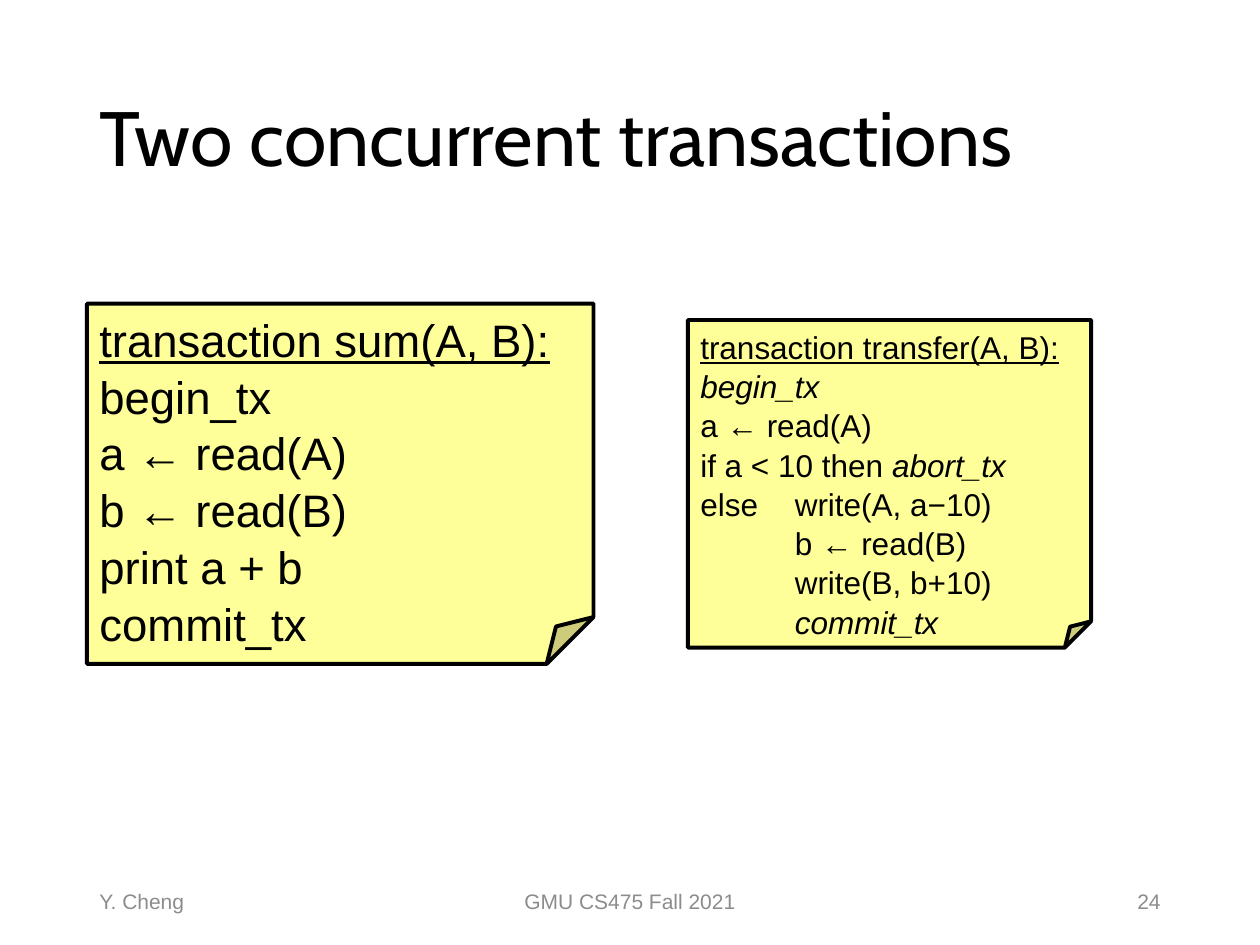
from lxml.etree import SubElement
from pptx import Presentation
from pptx.dml.color import RGBColor
from pptx.enum.shapes import MSO_SHAPE
from pptx.enum.text import MSO_ANCHOR, PP_ALIGN
from pptx.oxml.ns import qn
from pptx.util import Inches, Pt

COLORS = {"ink": "000000", "note": "FFFF99", "footer": "8C8C8C"}
SUM_LINES = [
    [("transaction sum(A, B):", "underline")],
    [("begin_tx", "")],
    [("a ← read(A)", "")],
    [("b ← read(B)", "")],
    [("print a + b", "")],
    [("commit_tx", "")],
]
TRANSFER_LINES = [
    [("transaction transfer(A, B):", "underline")],
    [("begin_tx", "italic")],
    [("a ← read(A)", "")],
    [("if a < 10 then ", ""), ("abort_tx", "italic")],
    [("else\twrite(A, a−10)", "")],
    [("\tb ← read(B)", "")],
    [("\twrite(B, b+10)", "")],
    [("\t", ""), ("commit_tx", "italic")],
]


class SlideBuilder:
    """Holds the text style and the current slide, and adds each kind of element."""

    body_font = "Arial"
    title_font = "Cabin"

    def __init__(self, presentation):
        self.slide = presentation.slides.add_slide(presentation.slide_layouts[5])

    def color(self, name):
        return RGBColor.from_string(COLORS[name])

    def run(self, paragraph, text, size, color="ink", font=None, emphasis=""):
        run = paragraph.add_run()
        run.text = text
        run.font.name = font or self.body_font
        run.font.size = Pt(size)
        run.font.color.rgb = self.color(color)
        if emphasis:
            setattr(run.font, emphasis, True)

    def title(self, text, left, top, width, height):
        title = self.slide.shapes.title
        title.left, title.top = Inches(left), Inches(top)
        title.width, title.height = Inches(width), Inches(height)
        title.text_frame.vertical_anchor = MSO_ANCHOR.MIDDLE
        paragraph = title.text_frame.paragraphs[0]
        paragraph.alignment = PP_ALIGN.LEFT
        paragraph.line_spacing = 0.9
        self.run(paragraph, text, 44, font=self.title_font)

    def note(self, lines, left, top, width, height, fold, size):
        shape = self.slide.shapes.add_shape(
            MSO_SHAPE.FOLDED_CORNER, Inches(left), Inches(top), Inches(width), Inches(height)
        )
        self.fold_corner(shape, fold)
        shape.shadow.inherit = False
        shape.fill.solid()
        shape.fill.fore_color.rgb = self.color("note")
        shape.line.color.rgb = self.color("ink")
        shape.line.width = Pt(2.25)
        frame = shape.text_frame
        frame.word_wrap = True
        frame.vertical_anchor = MSO_ANCHOR.TOP
        for index, line in enumerate(lines):
            paragraph = frame.add_paragraph() if index else frame.paragraphs[0]
            paragraph.alignment = PP_ALIGN.LEFT
            paragraph.line_spacing = 1.04
            if any("\t" in text for text, _ in line):
                self.tab_stop(paragraph, 0.75)
            for text, emphasis in line:
                self.run(paragraph, text, size, emphasis=emphasis)

    def fold_corner(self, shape, fold):
        geometry = shape._element.spPr.find(qn("a:prstGeom"))
        guides = geometry.find(qn("a:avLst"))
        if guides is None:
            guides = SubElement(geometry, qn("a:avLst"))
        SubElement(guides, qn("a:gd"), name="adj", fmla=f"val {round(fold * 100000)}")

    def tab_stop(self, paragraph, position):
        tabs = SubElement(paragraph._p.get_or_add_pPr(), qn("a:tabLst"))
        SubElement(tabs, qn("a:tab"), pos=str(Inches(position)), algn="l")

    def footer(self, text, left, width, alignment):
        box = self.slide.shapes.add_textbox(
            Inches(left), Inches(6.95), Inches(width), Inches(0.4)
        )
        box.text_frame.word_wrap = True
        box.text_frame.vertical_anchor = MSO_ANCHOR.MIDDLE
        paragraph = box.text_frame.paragraphs[0]
        paragraph.alignment = alignment
        self.run(paragraph, text, 12, "footer")


def main():
    presentation = Presentation()
    presentation.slide_width, presentation.slide_height = Inches(10), Inches(7.5)
    builder = SlideBuilder(presentation)
    builder.title("Two concurrent transactions", 0.69, 0.4, 8.62, 1.45)
    builder.note(SUM_LINES, 0.69, 2.41, 4.02, 2.86, 0.13, 26)
    builder.note(TRANSFER_LINES, 5.46, 2.54, 3.2, 2.6, 0.08, 18)
    builder.footer("Y. Cheng", 0.69, 2.25, PP_ALIGN.LEFT)
    builder.footer("GMU CS475 Fall 2021", 3.31, 3.38, PP_ALIGN.CENTER)
    builder.footer("24", 7.06, 2.25, PP_ALIGN.RIGHT)
    presentation.save("out.pptx")


if __name__ == "__main__":
    main()
